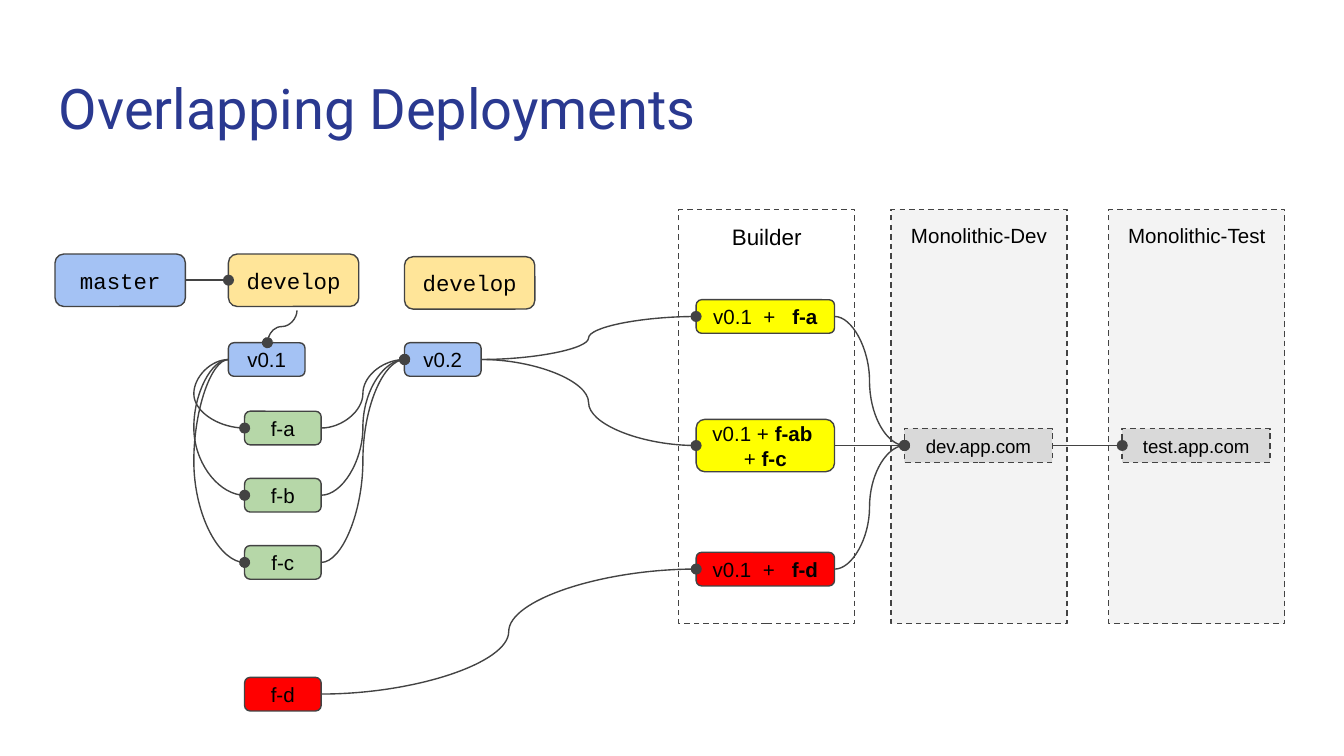
from lxml.etree import SubElement
from pptx import Presentation
from pptx.dml.color import RGBColor
from pptx.enum.dml import MSO_LINE
from pptx.enum.shapes import MSO_CONNECTOR, MSO_SHAPE
from pptx.enum.text import MSO_ANCHOR, PP_ALIGN
from pptx.oxml.ns import qn
from pptx.util import Inches, Pt

BLUE, GOLD, GREEN = "A4C2F4", "FFE599", "B6D7A8"
YELLOW, RED, GREY = "FFFF00", "FF0000", "D9D9D9"
DARK, BLACK = "434343", "000000"
TAG_W, TAG_H = 0.57, 0.25
HEAD_W, HEAD_H = 0.97, 0.39


def color(code):
    return RGBColor.from_string(code)


def write(para, text, size, font="Arial", ink=BLACK, bold=False, gap=0):
    """Add one run; gap is extra letter spacing in points."""
    run = para.add_run()
    run.text = text
    run.font.size, run.font.name, run.font.bold = Pt(size), font, bold
    run.font.color.rgb = color(ink)
    if gap:
        run._r.get_or_add_rPr().set("spc", str(gap * 100))


def setup(frame, anchor):
    frame.word_wrap = True
    frame.vertical_anchor = anchor
    frame.margin_left = frame.margin_right = Inches(0.1)
    frame.margin_top = frame.margin_bottom = Inches(0.1)
    return frame.paragraphs[0]


def block(slide, box, fill, kind=MSO_SHAPE.ROUNDED_RECTANGLE, dash=False,
          anchor=MSO_ANCHOR.MIDDLE):
    """Draw an outlined block; return it with its centred paragraph."""
    shape = slide.shapes.add_shape(kind, *map(Inches, box))
    shape.shadow.inherit = False
    if fill:
        shape.fill.solid()
        shape.fill.fore_color.rgb = color(fill)
    else:
        shape.fill.background()
    shape.line.color.rgb = color(DARK)
    shape.line.width = Pt(0.75)
    if dash:
        shape.line.dash_style = MSO_LINE.DASH
    para = setup(shape.text_frame, anchor)
    para.alignment = PP_ALIGN.CENTER
    return shape, para


def tag(slide, x, y, text, fill):
    shape, para = block(slide, (x, y, TAG_W, TAG_H), fill)
    write(para, text, 11)
    return shape


def head(slide, x, y, text, fill):
    shape, para = block(slide, (x, y, HEAD_W, HEAD_H), fill)
    write(para, text, 12, "Courier New")
    return shape


def left(shape):
    return shape.left, shape.top + shape.height // 2


def right(shape):
    return shape.left + shape.width, shape.top + shape.height // 2


def link(slide, start, end, bend=None):
    """Draw a curve that ends in a dot; bend moves its middle."""
    line = slide.shapes.add_connector(MSO_CONNECTOR.CURVE, *start, *end)
    line.line.color.rgb = color(DARK)
    line.line.width = Pt(0.75)
    SubElement(line.line._get_or_add_ln(), qn("a:tailEnd"), type="oval")
    props = line._element.spPr
    SubElement(props, qn("a:effectLst"))
    if bend is not None:
        guides = props.find(qn("a:prstGeom")).find(qn("a:avLst"))
        SubElement(guides, qn("a:gd"), name="adj1",
                   fmla=f"val {round(bend * 100000)}")
    return line


def title(slide, box):
    para = setup(slide.shapes.add_textbox(*map(Inches, box)).text_frame,
                 MSO_ANCHOR.TOP)
    write(para, "Overlapping Deployments", 30, "Roboto", "2A3990")


def branches(slide, box):
    """Draw the branches; return the v0.2 and f-d tags."""
    x, y = box[:2]
    # Heads and versions
    main = head(slide, x, y, "master", BLUE)
    dev = head(slide, x + 1.29, y, "develop", GOLD)
    link(slide, right(main), left(dev))
    old = tag(slide, x + 1.29, y + 0.66, "v0.1", BLUE)
    new = tag(slide, x + 2.6, y + 0.66, "v0.2", BLUE)
    head(slide, x + 2.6, y + 0.02, "develop", GOLD)

    # Downward curve, turned a quarter
    drop = link(slide, (Inches(x + 1.57), Inches(y + 0.43)),
                (Inches(x + 1.81), Inches(y + 0.65)))
    drop._element.spPr.find(qn("a:xfrm")).set("rot", "5400000")

    # Features leave v0.1 and merge into v0.2
    for row, name in enumerate(("f-a", "f-b", "f-c")):
        part = tag(slide, x + 1.41, y + 1.17 + 0.5 * row, name, GREEN)
        link(slide, left(old), left(part), -2.15)
        link(slide, right(part), left(new))
    return new, tag(slide, x + 1.41, y + 3.15, "f-d", RED)


def lane(slide, box, text, size, fill=None):
    para = block(slide, box, fill, MSO_SHAPE.RECTANGLE, True,
                 MSO_ANCHOR.TOP)[1]
    write(para, text, size)


def builds(slide, box, new, lone):
    """Draw the build lane with its incoming links; return the builds."""
    x, y = box[:2]
    lane(slide, box, "Builder", 12)
    made = []
    rows = ((0.67, TAG_H, "f-a", YELLOW, new),
            (1.56, HEAD_H, "f-ab ", YELLOW, new),
            (2.55, TAG_H, "f-d", RED, lone))
    for top, high, name, fill, source in rows:
        shape, para = block(slide, (x + 0.13, y + top, 1.03, high), fill)
        wide = high == TAG_H
        write(para, "v0.1", 11)
        write(para, " ", 11, gap=3 * wide)
        write(para, "+", 11)
        write(para, " ", 11, gap=6 * wide)
        write(para, name, 11, bold=True)
        if not wide:
            para.add_line_break()
            write(para, "+ ", 11)
            write(para, "f-c", 11, bold=True)
        link(slide, right(source), left(shape))
        made.append(shape)
    return made


def host(slide, box, name, address):
    """Draw a grey lane with one host."""
    x, y = box[:2]
    lane(slide, box, name, 11, "F3F3F3")
    shape, para = block(slide, (x + 0.1, y + 1.63, 1.1, TAG_H), GREY,
                        MSO_SHAPE.RECTANGLE, True)
    write(para, address, 10)
    return shape


def main():
    deck = Presentation()
    # Widescreen, 16 to 9
    deck.slide_width = Inches(10)
    deck.slide_height = deck.slide_width * 9 // 16
    slide = deck.slides.add_slide(deck.slide_layouts[6])
    title(slide, (0.34, 0.45, 9.32, 0.66))
    new, lone = branches(slide, (0.41, 1.89, 3.57, 3.4))
    made = builds(slide, (5.05, 1.56, 1.31, 3.08), new, lone)
    dev = host(slide, (6.63, 1.56, 1.31, 3.08), "Monolithic-Dev",
               "dev.app.com")
    test = host(slide, (8.25, 1.56, 1.31, 3.08), "Monolithic-Test",
                "test.app.com")
    # Deployment links
    for build in made:
        link(slide, right(build), left(dev))
    link(slide, right(dev), left(test))
    deck.save("out.pptx")


if __name__ == "__main__":
    main()
